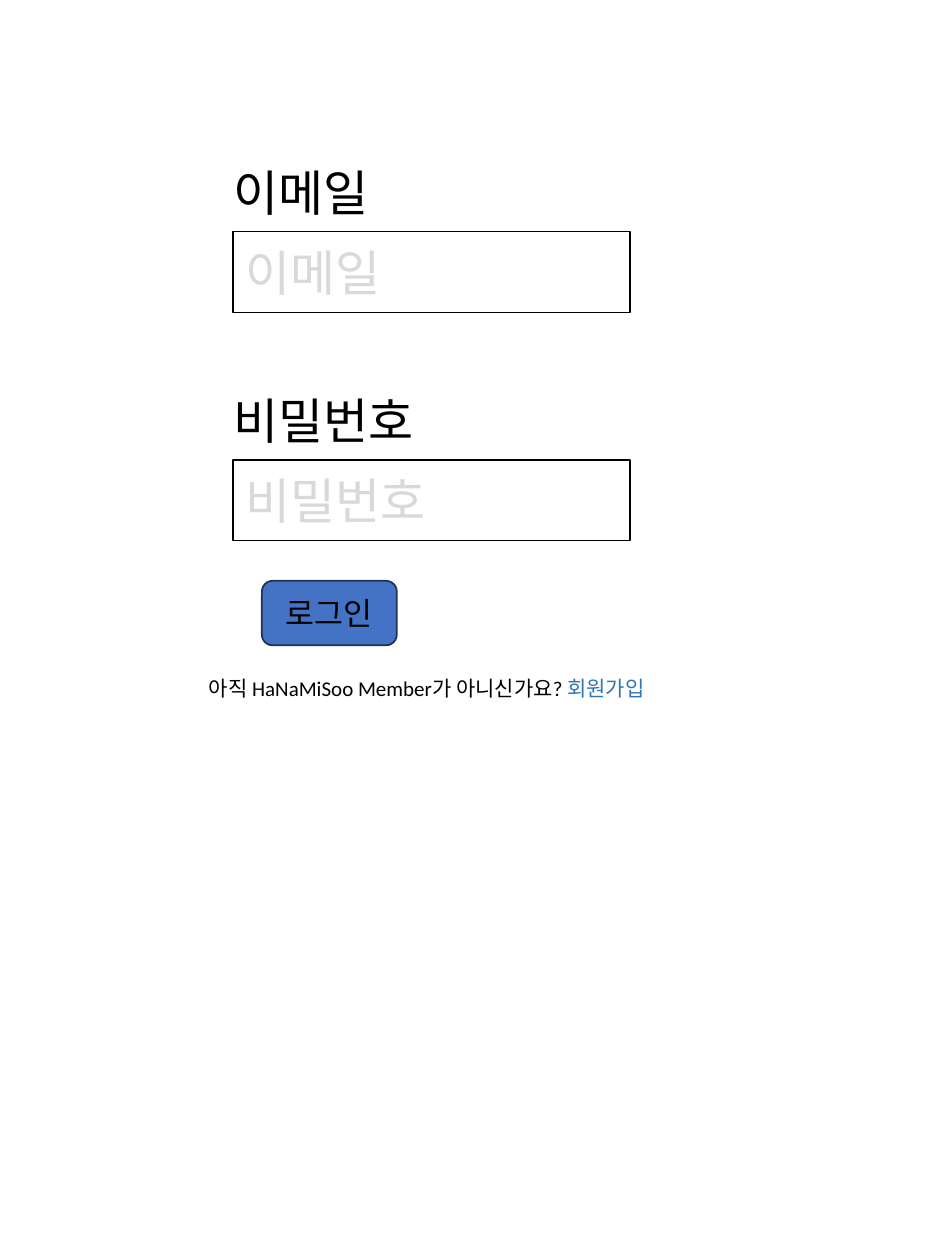
from pptx import Presentation
from pptx.dml.color import RGBColor
from pptx.enum.shapes import MSO_SHAPE
from pptx.enum.text import MSO_ANCHOR, MSO_AUTO_SIZE, PP_ALIGN
from pptx.util import Cm, Pt

RECT, ROUNDED = MSO_SHAPE.RECTANGLE, MSO_SHAPE.ROUNDED_RECTANGLE
LEFT, CENTER = PP_ALIGN.LEFT, PP_ALIGN.CENTER
MIDDLE = MSO_ANCHOR.MIDDLE
FIT_TEXT = MSO_AUTO_SIZE.SHAPE_TO_FIT_TEXT

BLACK, WHITE, HINT = "000000", "FFFFFF", "D9D9D9"
BLUE, NAVY, LINK = "4472C4", "1E3256", "2E75B6"

FIELDS = [("이메일", 3.78), ("비밀번호", 5.05)]  # name, label width
FIRST_LABEL_TOP, FIELD_STEP, LABEL_TO_INPUT = 3.15, 4.6, 1.52


def rgb(value):
    return RGBColor.from_string(value)


def add_run(p, text, size, color):
    r = p.add_run()
    r.text = text
    font = {"name": "Calibri", "size": Pt(size)}
    for name, value in font.items():
        setattr(r.font, name, value)
    r.font.color.rgb = rgb(color)


def add_box(s, kind, box, fill, line, text, size, color, align=LEFT):
    sp = s.shapes.add_shape(kind, *map(Cm, box))
    sp.shadow.inherit = False
    sp.fill.solid()
    sp.fill.fore_color.rgb = rgb(fill)
    sp.line.color.rgb = rgb(line)
    sp.line.width = Pt(1)
    tf = sp.text_frame
    tf.vertical_anchor = MIDDLE
    p = tf.paragraphs[0]
    p.alignment = align
    add_run(p, text, size, color)


def add_text(s, box, size, runs):
    """Add one line of text; runs are (text, colour) pairs."""
    tf = s.shapes.add_textbox(*map(Cm, box)).text_frame
    tf.word_wrap = True
    tf.auto_size = FIT_TEXT
    for text, color in runs:
        add_run(tf.paragraphs[0], text, size, color)


def add_field(s, top, name, label_width):
    """Add a label with its input box and grey hint below."""
    add_text(s, (4.45, top, label_width, 1.45), 28, [(name, BLACK)])
    add_box(s, RECT, (4.7, top + LABEL_TO_INPUT, 8, 1.63),
            WHITE, BLACK, name, 28, HINT)


def main():
    prs = Presentation()
    prs.slide_width, prs.slide_height = Cm(19.05), Cm(25.4)
    s = prs.slides.add_slide(prs.slide_layouts[6])

    for i, (name, label_width) in enumerate(FIELDS):
        add_field(s, FIRST_LABEL_TOP + i * FIELD_STEP, name, label_width)
    add_box(s, ROUNDED, (5.28, 11.71, 2.72, 1.3),
            BLUE, NAVY, "로그인", 18, BLACK, CENTER)
    add_text(s, (3.96, 13.49, 15.09, 0.76), 12,
             [("아직 HaNaMiSoo Member가 아니신가요? ", BLACK), ("회원가입", LINK)])

    prs.save("out.pptx")


if __name__ == "__main__":
    main()
